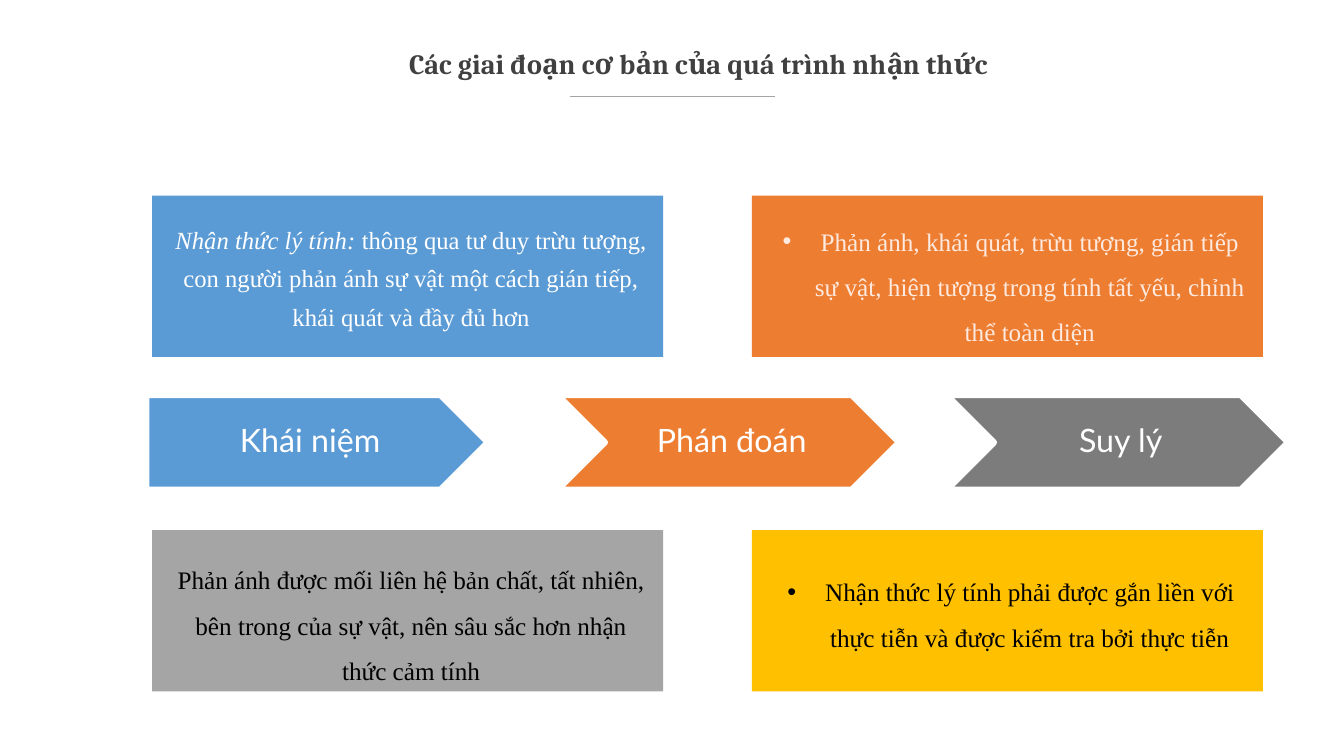
from lxml.etree import SubElement
from pptx import Presentation
from pptx.dml.color import RGBColor
from pptx.enum.shapes import MSO_CONNECTOR, MSO_SHAPE
from pptx.enum.text import MSO_ANCHOR, MSO_AUTO_SIZE, PP_ALIGN
from pptx.oxml.ns import qn
from pptx.util import Pt

COLORS = {
    "blue": "5B9BD5", "orange": "ED7D31", "gray": "A5A5A5", "gold": "FFC000",
    "dark_gray": "7C7C7C", "white": "FFFFFF", "peach": "FEE9DE",
    "black": "000000", "title": "404040",
}
FONTS = {"title": "Cambria", "body": "Times New Roman", "arrow": "Lato"}


class Deck:
    def __init__(self, width, height):
        self.prs = Presentation()
        self.prs.slide_width, self.prs.slide_height = Pt(width), Pt(height)
        self.s = self.prs.slides.add_slide(self.prs.slide_layouts[4])

    def rgb(self, name):
        return RGBColor.from_string(COLORS[name])

    def shape(self, kind, box, fill, line=None):
        sp = self.s.shapes.add_shape(kind, *map(Pt, box))
        sp.shadow.inherit = False
        sp.fill.solid()
        sp.fill.fore_color.rgb = self.rgb(fill)
        if line:
            sp.line.color.rgb = self.rgb(line)
            sp.line.width = Pt(4.5)
        else:
            sp.line.fill.background()
        return sp

    def text(self, sp, parts, font, size, color, spacing, margins,
             anchor=MSO_ANCHOR.MIDDLE, bold=False):
        tf = sp.text_frame
        tf.text = parts[0]
        tf.word_wrap = True
        tf.auto_size = MSO_AUTO_SIZE.NONE
        tf.vertical_anchor = anchor
        tf.margin_left, tf.margin_top, tf.margin_right, tf.margin_bottom = map(Pt, margins)
        p = tf.paragraphs[0]
        for part in parts[1:]:
            p.add_run().text = part
        p.alignment = PP_ALIGN.CENTER
        p.line_spacing = spacing
        p.space_before = Pt(0)
        for r in p.runs:
            r.font.name = FONTS[font]
            r.font.size = Pt(size)
            r.font.bold = bold
            r.font.italic = len(parts) > 1 and r.text == parts[0]
            r.font.color.rgb = self.rgb(color)

    def place(self, idx, box):
        sp = self.s.placeholders[idx]
        sp.left, sp.top, sp.width, sp.height = map(Pt, box)
        sp.element.getparent().append(sp.element)
        return sp

    def title(self, text, box):
        sp = self.place(0, box)
        self.text(sp, [text], "title", 20, "title", 1.0, (0, 8, 0, 8), bold=True)

    def rule(self, x1, x2, y, color):
        line = self.s.shapes.add_connector(MSO_CONNECTOR.STRAIGHT, Pt(x1), Pt(y), Pt(x2), Pt(y))
        line.line.color.rgb = self.rgb(color)
        line.line.width = Pt(1)
        SubElement(line.element.spPr, qn("a:effectLst"))

    def card(self, idx, x, y, fill, text_y, text_h, parts, size, color, spacing):
        self.shape(MSO_SHAPE.RECTANGLE, (x, y, 365, 115.2), fill)
        sp = self.place(idx, (x + 15.1, text_y, 339.8, text_h))
        pPr = sp.text_frame.paragraphs[0]._p.get_or_add_pPr()
        pPr.set("marL", "0")
        pPr.set("indent", "0")
        SubElement(pPr, qn("a:buNone"))
        self.text(sp, parts, "body", size, color, spacing, (0, 0, 0, 0), MSO_ANCHOR.TOP)

    def arrow(self, kind, x, fill, text, inset):
        sp = self.shape(kind, (x, 282.2, 244.1, 67.7), fill, "white")
        self.text(sp, [text], "arrow", 23, "white", 0.9, (inset, 5, 2.2, 5))


def main():
    deck = Deck(960, 540)
    left, right, top, bottom = 108.7, 537.1, 139.7, 378.7
    deck.rule(406.8, 553.7, 68.8, "gray")
    cards = [
        (left, top, "blue", 154.1, 88.6,
         ["Nhận thức lý tính: ",
          "thông qua tư duy trừu tượng, con người phản ánh sự vật một cách gián tiếp, "
          "khái quát và đầy đủ hơn"], 17.6, "white", 1.3),
        (right, top, "orange", 150.5, 60.5,
         ["Phản ánh, khái quát, trừu tượng, gián tiếp sự vật, hiện tượng trong tính "
          "tất yếu, chỉnh thể toàn diện"], 18, "peach", 1.5),
        (left, bottom, "gray", 392.4, 88.6,
         ["Phản ánh được mối liên hệ bản chất, tất nhiên, bên trong của sự vật, "
          "nên sâu sắc hơn nhận thức cảm tính"], 18, "black", 1.5),
        (right, bottom, "gold", 401, 88.6,
         ["Nhận thức lý tính phải được gắn liền với thực tiễn và được kiểm tra "
          "bởi thực tiễn"], 18, "black", 1.5),
    ]
    for idx, card in enumerate(cards, 1):
        deck.card(idx, *card)
    deck.arrow(MSO_SHAPE.PENTAGON, 104.4, "blue", "Khái niệm", 9.4)
    deck.arrow(MSO_SHAPE.CHEVRON, 398.2, "orange", "Phán đoán", 7.2)
    deck.arrow(MSO_SHAPE.CHEVRON, 676.1, "dark_gray", "Suy lý", 7.2)
    deck.title("Các giai đoạn cơ bản của quá trình nhận thức", (78.5, 28.1, 841, 33.8))
    deck.prs.save("out.pptx")


if __name__ == "__main__":
    main()
